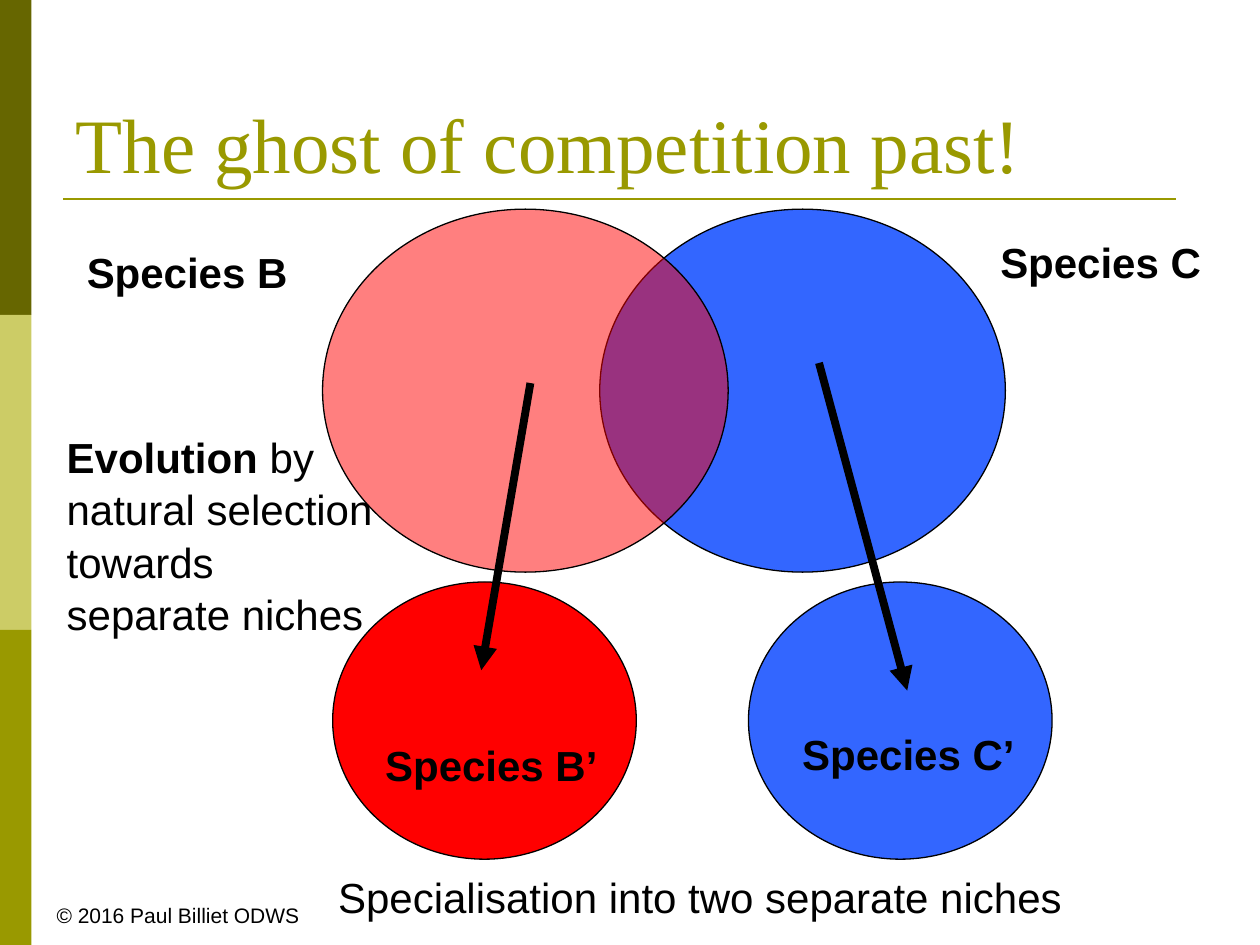
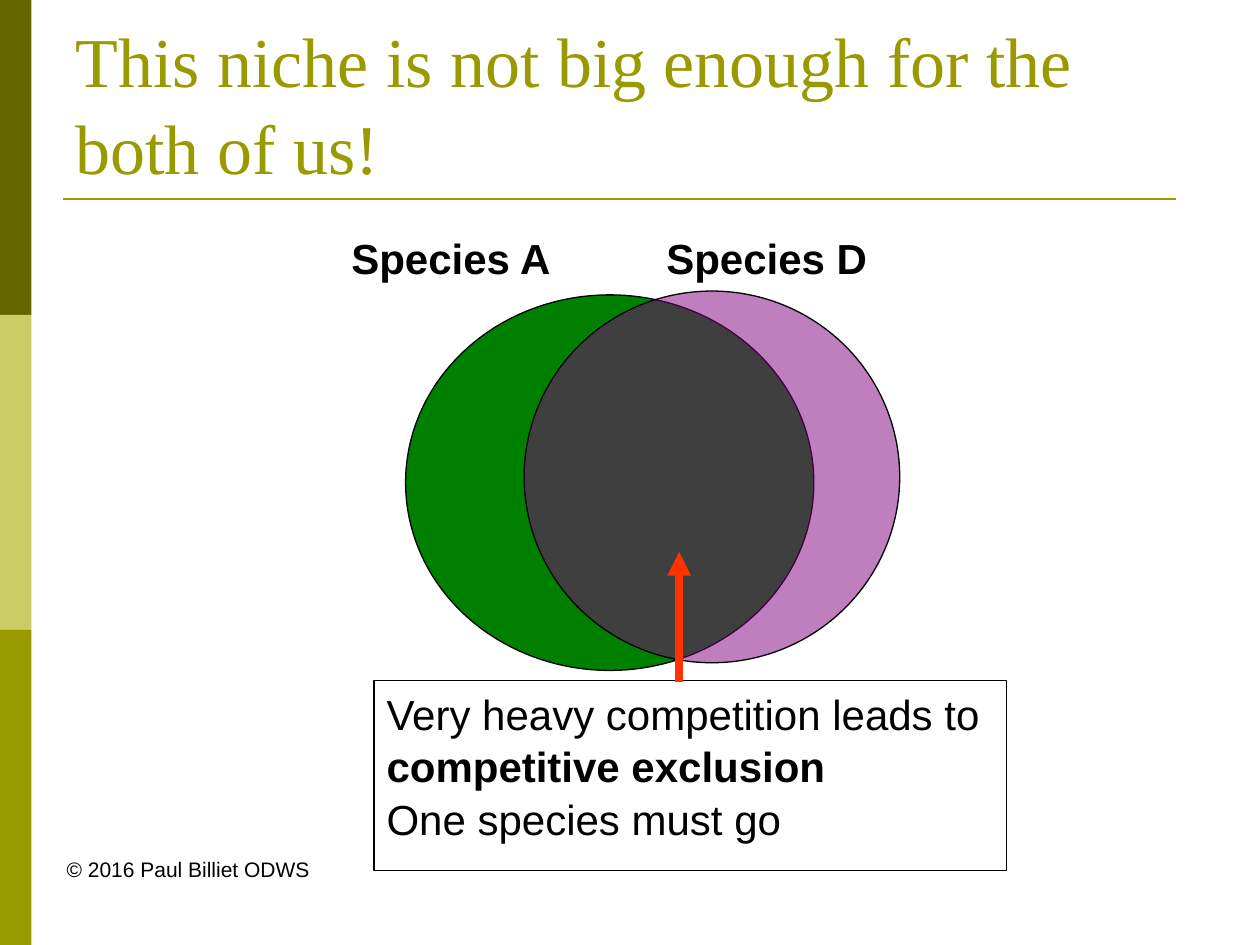
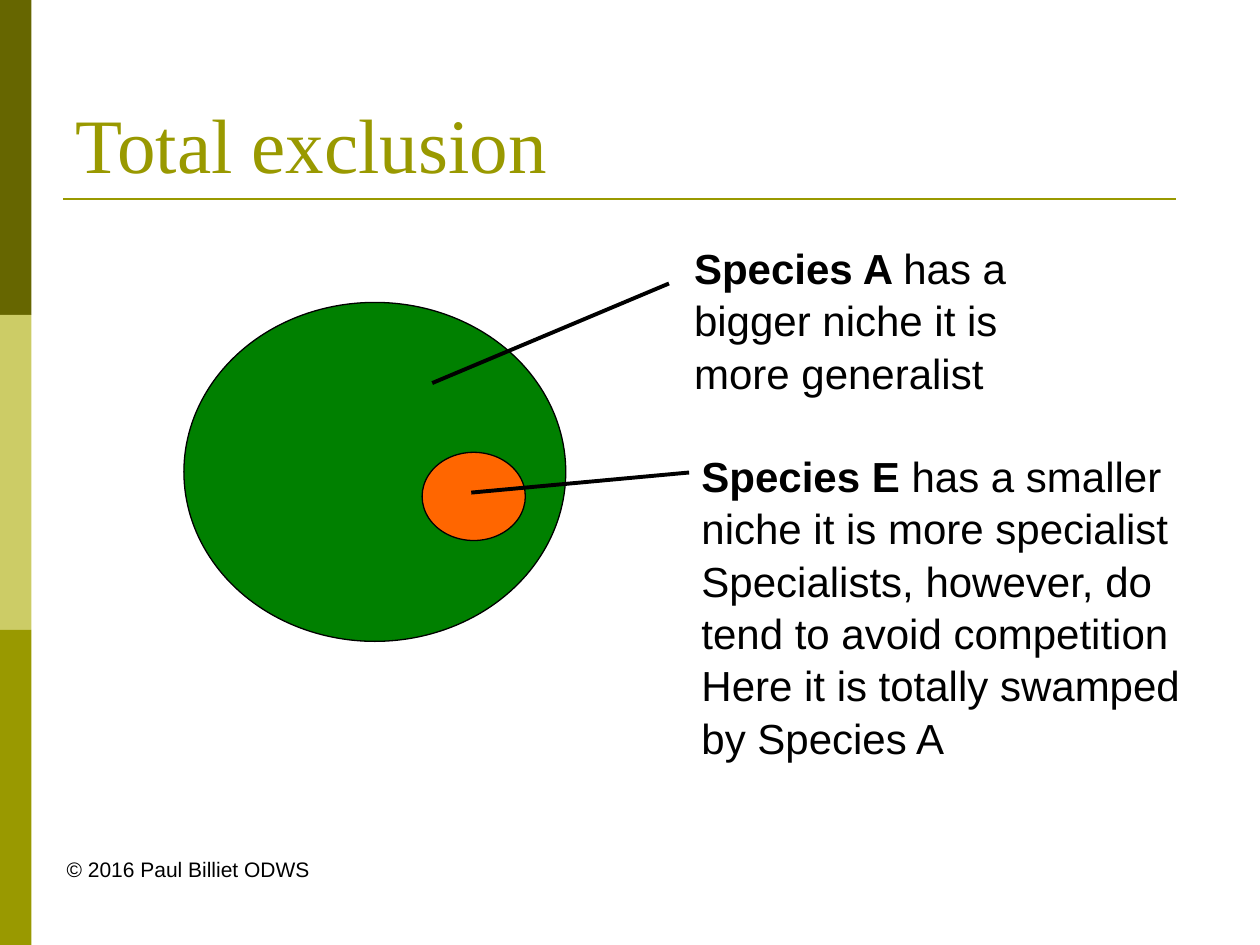
from lxml.etree import SubElement
from pptx import Presentation
from pptx.dml.color import RGBColor
from pptx.enum.shapes import MSO_CONNECTOR, MSO_SHAPE
from pptx.enum.text import MSO_ANCHOR, MSO_AUTO_SIZE, PP_ALIGN
from pptx.oxml.ns import qn
from pptx.util import Pt

BLACK = RGBColor(0x00, 0x00, 0x00)
DARK_OLIVE = RGBColor(0x66, 0x66, 0x00)
PALE_OLIVE = RGBColor(0xCC, 0xCC, 0x66)
OLIVE = RGBColor(0x99, 0x99, 0x00)
BLUE = RGBColor(0x33, 0x66, 0xFF)
RED = RGBColor(0xFF, 0x00, 0x00)
GREEN = RGBColor(0x00, 0x80, 0x00)
PURPLE = RGBColor(0x80, 0x00, 0x80)
ORANGE = RGBColor(0xFF, 0x66, 0x00)
ARROW_RED = RGBColor(0xFF, 0x33, 0x00)

BODY_FONT = "Arial"
TITLE_FONT = "Times New Roman"
LINE_SPACING = 1.04
BAND_WIDTH, BAND_HEIGHT = 18, 180


def add_run(p, text, size, font=BODY_FONT, color=BLACK, bold=False):
    r = p.add_run()
    r.text = text
    r.font.size = Pt(size)
    r.font.name = font
    r.font.color.rgb = color
    r.font.bold = bold


def fill_text(tf, paragraphs, size=24, align=PP_ALIGN.LEFT):
    """Write paragraphs, each a list of (text, bold) runs."""
    tf.word_wrap = True
    tf.vertical_anchor = MSO_ANCHOR.TOP
    for i, runs in enumerate(paragraphs):
        p = tf.paragraphs[0] if i == 0 else tf.add_paragraph()
        p.alignment = align
        p.line_spacing = LINE_SPACING
        for text, bold in runs:
            add_run(p, text, size, bold=bold)


def add_text(s, box, paragraphs, size=24, align=PP_ALIGN.LEFT):
    sp = s.shapes.add_textbox(*map(Pt, box))
    fill_text(sp.text_frame, paragraphs, size, align)


def add_label(s, box, text, bold=True, align=PP_ALIGN.LEFT):
    add_text(s, box, [[(text, bold)]], align=align)


def add_shape(s, kind, box, fill=None, line=None, opacity=100):
    sp = s.shapes.add_shape(kind, *map(Pt, box))
    sp.shadow.inherit = False
    if fill is None:
        sp.fill.background()
    else:
        sp.fill.solid()
        sp.fill.fore_color.rgb = fill
    if opacity < 100:
        color = sp.fill._xPr.find(qn("a:solidFill"))[0]
        SubElement(color, qn("a:alpha"), val=str(opacity * 1000))
    if line is None:
        sp.line.fill.background()
    else:
        sp.line.color.rgb = line
        sp.line.width = Pt(0.75)
    return sp


def add_niche(s, box, fill, opacity=100):
    add_shape(s, MSO_SHAPE.OVAL, box, fill, BLACK, opacity)


def add_line(s, start, end, width, color=BLACK, arrow=False):
    line = s.shapes.add_connector(MSO_CONNECTOR.STRAIGHT, *map(Pt, start + end))
    line.line.color.rgb = color
    line.line.width = Pt(width)
    if arrow:
        SubElement(line.line._get_or_add_ln(), qn("a:tailEnd"), type="triangle")
    SubElement(line._element.spPr, qn("a:effectLst"))


def add_slide(prs, title, title_size=44, footer_at=(31, 485.3)):
    """Add a slide with the shared bands, rule, title and copyright line."""
    s = prs.slides.add_slide(prs.slide_layouts[5])
    for i, color in enumerate((DARK_OLIVE, PALE_OLIVE, OLIVE)):
        add_shape(s, MSO_SHAPE.RECTANGLE,
                  (0, i * BAND_HEIGHT, BAND_WIDTH, BAND_HEIGHT), color)
    add_line(s, (36, 113.8), (671.8, 113.8), 1.5, OLIVE)

    sp = s.shapes.title
    sp.left, sp.top, sp.width, sp.height = map(Pt, (36, 21.6, 648, 90))
    tf = sp.text_frame
    tf.word_wrap = True
    tf.auto_size = MSO_AUTO_SIZE.NONE
    tf.vertical_anchor = MSO_ANCHOR.BOTTOM
    p = tf.paragraphs[0]
    p.alignment = PP_ALIGN.LEFT
    p.line_spacing = LINE_SPACING
    add_run(p, title, title_size, TITLE_FONT, OLIVE)

    add_text(s, footer_at + (171, 21.6),
             [[("© 2016 Paul Billiet ODWS", False)]], size=12)
    return s


def build_competition_past(prs):
    s = add_slide(prs, "The ghost of competition past!", footer_at=(25.2, 511.9))
    add_niche(s, (342.7, 119.5, 231.8, 207.4), BLUE)
    add_label(s, (564.5, 130.3, 130.3, 36), "Species C")
    add_text(s, (31, 241.9, 193, 130.3),
             [[("Evolution", True),
               (" by natural selection towards separate niches", False)]])
    add_niche(s, (190.1, 332.6, 173.5, 158.4), RED)
    add_label(s, (201.6, 417.6, 158.4, 39.6), "Species B’", align=PP_ALIGN.CENTER)
    add_niche(s, (427.7, 332.6, 173.5, 158.4), BLUE)
    add_label(s, (428.4, 411.8, 181.4, 33.8), "Species C’", align=PP_ALIGN.CENTER)
    add_label(s, (150.5, 493.2, 499, 37.4),
              "Specialisation into two separate niches", False, PP_ALIGN.CENTER)
    add_niche(s, (184.3, 119.5, 231.8, 207.4), RED, opacity=50)
    add_label(s, (42.5, 136.1, 130.3, 36), "Species B")
    add_line(s, (468, 207.4), (518.4, 394.6), 4.5, arrow=True)
    add_line(s, (303.1, 218.9), (275, 383), 4.5, arrow=True)


def build_competitive_exclusion(prs):
    s = add_slide(prs, "This niche is not big enough for the both of us!", 40)
    add_niche(s, (231.8, 168.5, 233.3, 214.6), GREEN)
    add_niche(s, (299.5, 166.3, 214.6, 212.4), PURPLE, opacity=50)
    add_label(s, (193.7, 128.2, 361.4, 39.6), "Species A \t\tSpecies D")
    outcome = add_shape(s, MSO_SHAPE.RECTANGLE,
                        (213.8, 388.8, 361.4, 108.7), line=BLACK)
    fill_text(outcome.text_frame,
              [[("Very heavy competition leads to ", False),
                ("competitive exclusion", True)],
               [("One species must go", False)]])
    add_line(s, (388.1, 389.5), (388.1, 315.4), 4.5, ARROW_RED, arrow=True)


def build_total_exclusion(prs):
    s = add_slide(prs, "Total exclusion")
    add_niche(s, (105.1, 172.8, 218.2, 193.7), GREEN)
    add_niche(s, (241.2, 258.5, 59, 50.4), ORANGE)
    add_text(s, (389.5, 133.9, 248.4, 96.5),
             [[("Species A ", True),
               ("has a bigger niche it is more generalist", False)]])
    add_line(s, (382.3, 162), (247, 218.9), 2.25)
    add_line(s, (393.8, 270), (269.3, 281.5), 2.25)
    add_text(s, (393.8, 252.7, 295.2, 208.8),
             [[("Species E", True),
               (" has a smaller niche it is more specialist", False)],
              [("Specialists, however, do tend to avoid competition", False)],
              [("Here it is totally swamped by Species A", False)]])


def main():
    prs = Presentation()
    prs.slide_width, prs.slide_height = Pt(720), Pt(540)
    build_competition_past(prs)
    build_competitive_exclusion(prs)
    build_total_exclusion(prs)
    prs.save("out.pptx")


if __name__ == "__main__":
    main()
